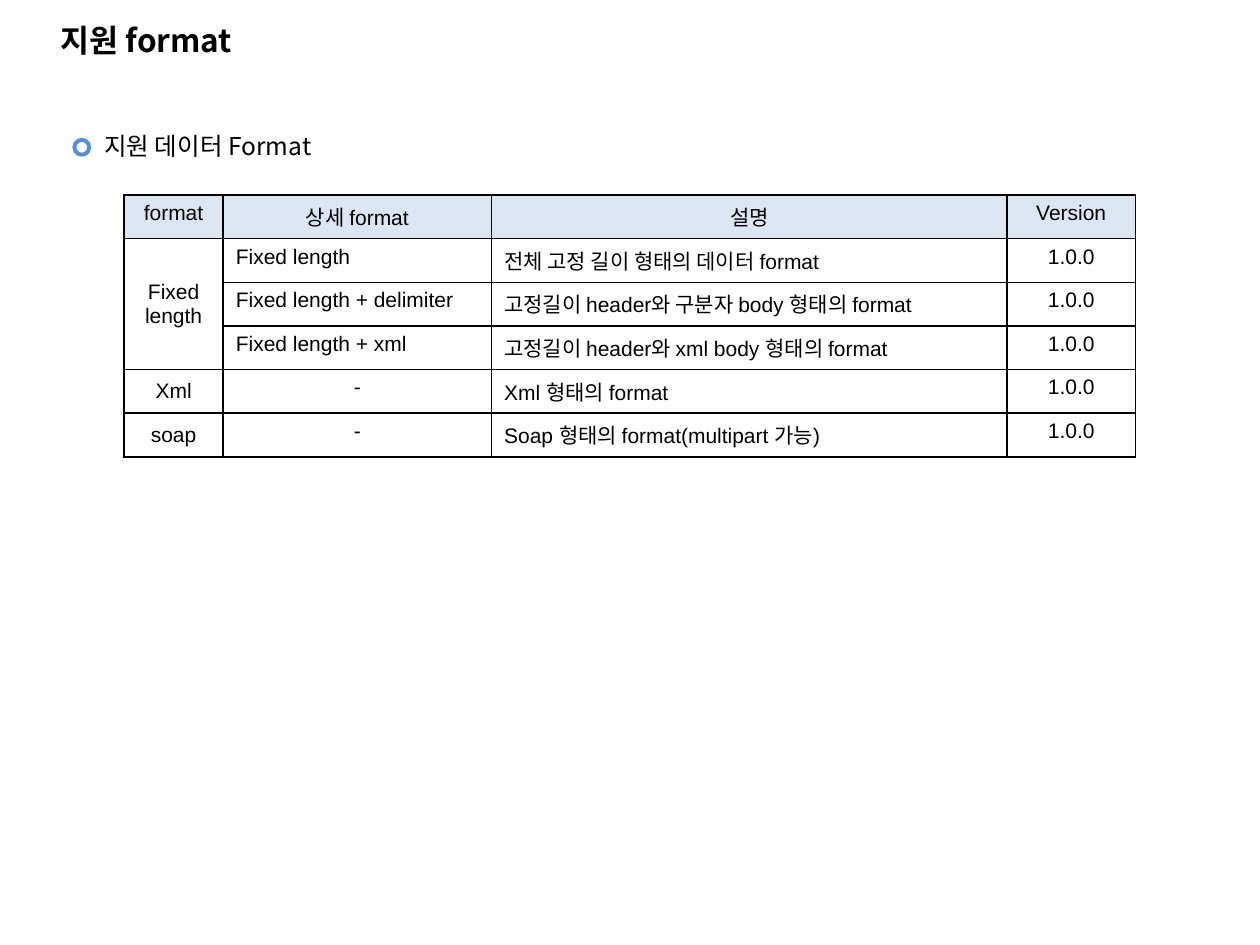
from dataclasses import dataclass

from lxml import etree
from pptx import Presentation
from pptx.dml.color import RGBColor
from pptx.enum.shapes import MSO_SHAPE
from pptx.enum.text import MSO_ANCHOR, MSO_AUTO_SIZE, PP_ALIGN
from pptx.oxml.ns import qn
from pptx.util import Cm, Pt

LEFT, CENTER = PP_ALIGN.LEFT, PP_ALIGN.CENTER
TOP, MIDDLE, BOTTOM = MSO_ANCHOR.TOP, MSO_ANCHOR.MIDDLE, MSO_ANCHOR.BOTTOM
NO_AUTOFIT, FIT_SHAPE = MSO_AUTO_SIZE.NONE, MSO_AUTO_SIZE.SHAPE_TO_FIT_TEXT
OVAL = MSO_SHAPE.OVAL

COLORS = {"text": "000000", "border": "000000", "header": "DCE6F2", "marker": "558ED5"}
KOREAN_FONT = "Noto Sans CJK KR"
TABLE_FONT = "Arial"
COLUMN_WIDTHS = (2.0, 5.41, 10.39, 2.59)
ROW_HEIGHT = 0.88


@dataclass(frozen=True)
class FormatRow:
    group: str
    detail: str
    description: str
    version: str = "1.0.0"

    def texts(self) -> tuple[str, ...]:
        return self.group, self.detail, self.description, self.version


HEADER = FormatRow("format", "상세 format", "설명", "Version")
FORMATS = (
    FormatRow("Fixed length", "Fixed length", "전체 고정 길이 형태의 데이터 format"),
    FormatRow("", "Fixed length + delimiter", "고정길이 header와 구분자 body 형태의 format"),
    FormatRow("", "Fixed length + xml", "고정길이 header와 xml body 형태의 format"),
    FormatRow("Xml", "-", "Xml 형태의 format"),
    FormatRow("soap", "-", "Soap 형태의 format(multipart 가능)"),
)


def color(name: str) -> RGBColor:
    return RGBColor.from_string(COLORS[name])


def write(frame, text: str, *, size: float, font: str = KOREAN_FONT,
          bold: bool = False, align=LEFT) -> None:
    para = frame.paragraphs[0]
    para.alignment = align
    para.space_before = Pt(0)
    span = para.add_run()
    span.text = text
    span.font.size = Pt(size)
    span.font.bold = bold
    span.font.name = font
    span.font.color.rgb = color("text")
    east_asian = etree.SubElement(span.font._element, qn("a:ea"))
    east_asian.set("typeface", KOREAN_FONT)


def place(shape, left: float, top: float, width: float, height: float) -> None:
    shape.left, shape.top = Cm(left), Cm(top)
    shape.width, shape.height = Cm(width), Cm(height)


def add_title(page, text: str) -> None:
    title = page.shapes.title
    place(title, 0.97, 0.33, 22.86, 0.99)
    title.text_frame.auto_size = NO_AUTOFIT
    title.text_frame.vertical_anchor = BOTTOM
    write(title.text_frame, text, size=18, bold=True)


def add_heading(page, text: str) -> None:
    marker = page.shapes.add_shape(OVAL, Cm(1.5), Cm(2.82), Cm(0.3), Cm(0.3))
    marker.shadow.inherit = False
    marker.fill.background()
    marker.line.color.rgb = color("marker")
    marker.line.width = Pt(2.25)

    body = page.placeholders[1]
    place(body, 1.85, 2.51, 22.86, 0.86)
    body.text_frame.auto_size = FIT_SHAPE
    body.text_frame.vertical_anchor = TOP
    properties = body.text_frame.paragraphs[0]._p.get_or_add_pPr()
    properties.set("marL", "0")
    properties.set("indent", "0")
    etree.SubElement(properties, qn("a:buNone"))
    write(body.text_frame, text, size=14)


def add_borders(cell) -> None:
    properties = cell._tc.get_or_add_tcPr()
    for side in ("lnL", "lnR", "lnT", "lnB"):
        line = etree.SubElement(properties, qn(f"a:{side}"), w=str(Pt(1)))
        fill = etree.SubElement(line, qn("a:solidFill"))
        etree.SubElement(fill, qn("a:srgbClr"), val=COLORS["border"])


def add_format_table(page, rows: tuple[FormatRow, ...]) -> None:
    table = page.shapes.add_table(
        len(rows), len(COLUMN_WIDTHS), Cm(2.5), Cm(3.93),
        Cm(sum(COLUMN_WIDTHS)), Cm(ROW_HEIGHT * len(rows))).table
    table.first_row = False
    table.horz_banding = False
    for column, width in zip(table.columns, COLUMN_WIDTHS):
        column.width = Cm(width)
    for row_index, row in enumerate(rows):
        table.rows[row_index].height = Cm(ROW_HEIGHT)
        for column_index, text in enumerate(row.texts()):
            cell = table.cell(row_index, column_index)
            is_header = row_index == 0
            add_borders(cell)
            if is_header:
                cell.fill.solid()
                cell.fill.fore_color.rgb = color("header")
            else:
                cell.fill.background()
            is_group = column_index == 0 and not is_header
            cell.vertical_anchor = MIDDLE if is_group else TOP
            is_left = not is_header and column_index in (1, 2) and text != "-"
            if text:
                write(cell.text_frame, text, size=12, font=TABLE_FONT,
                      align=LEFT if is_left else CENTER)
    table.cell(1, 0).merge(table.cell(3, 0))


def main() -> None:
    deck = Presentation()
    deck.slide_width, deck.slide_height = Cm(25.4), Cm(19.05)
    page = deck.slides.add_slide(deck.slide_layouts[1])
    add_title(page, "지원 format")
    add_heading(page, "지원 데이터 Format")
    add_format_table(page, (HEADER, *FORMATS))
    deck.save("out.pptx")


if __name__ == "__main__":
    main()
